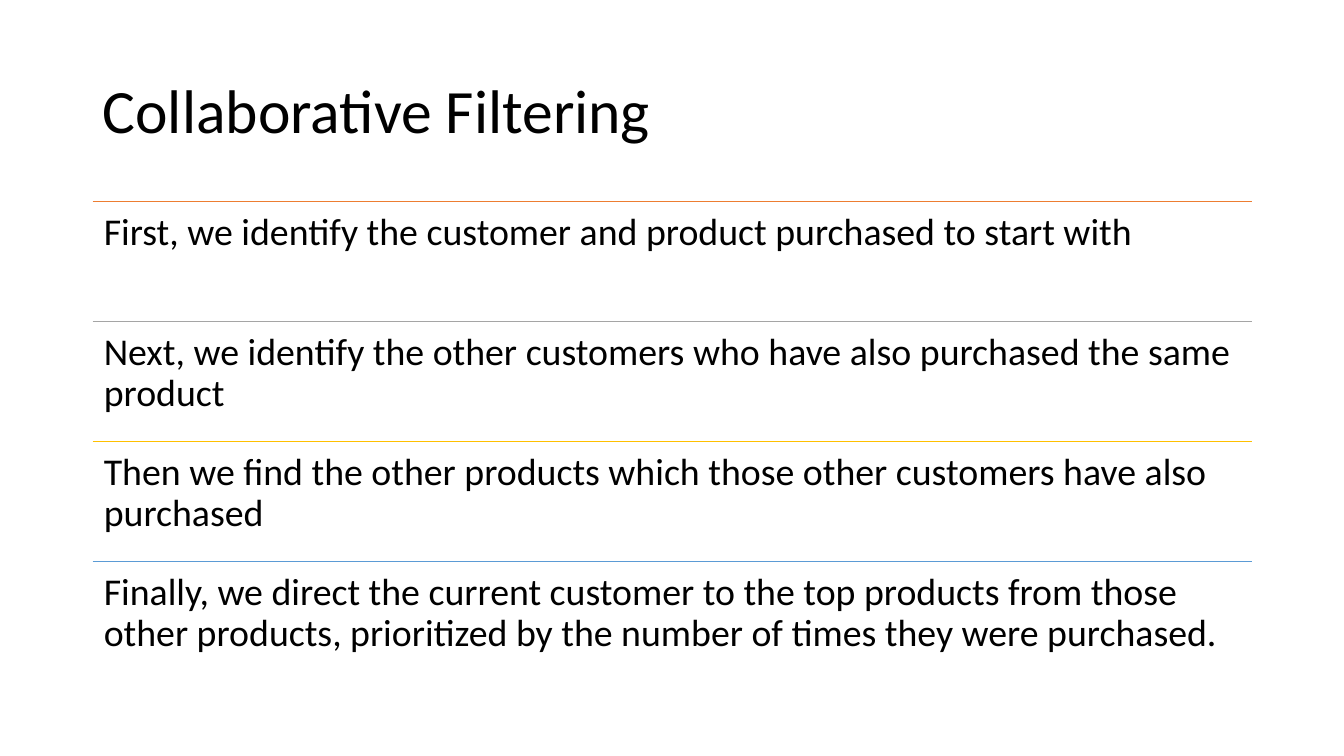
from dataclasses import dataclass

from lxml.etree import SubElement
from pptx import Presentation
from pptx.dml.color import RGBColor
from pptx.enum.shapes import MSO_CONNECTOR
from pptx.enum.text import MSO_ANCHOR
from pptx.oxml.ns import qn
from pptx.util import Inches, Pt


@dataclass(frozen=True)
class Theme:
    font: str = "Calibri"
    ink: str = "000000"
    title_size: int = 44
    step_size: int = 27
    rule_width: int = 1
    rule_colors: tuple = ("ED7D31", "A5A5A5", "FFC000", "5B9BD5")


class SlideBuilder:
    def __init__(self, slide, theme):
        self.slide = slide
        self.theme = theme

    def text(self, wording, left, top, width, height, size, **frame_format):
        box = self.slide.shapes.add_textbox(
            Inches(left), Inches(top), Inches(width), Inches(height))
        frame = box.text_frame
        frame.word_wrap = True
        for name, value in frame_format.items():
            setattr(frame, name, value)
        paragraph = frame.paragraphs[0]
        paragraph.text = wording
        paragraph.line_spacing = 0.9
        font = paragraph.runs[0].font
        font.name = self.theme.font
        font.size = Pt(size)
        font.color.rgb = RGBColor.from_string(self.theme.ink)

    def rule(self, left, top, width, color):
        rule = self.slide.shapes.add_connector(
            MSO_CONNECTOR.STRAIGHT, Inches(left), Inches(top),
            Inches(left + width), Inches(top))
        rule.line.color.rgb = RGBColor.from_string(color)
        rule.line.width = Pt(self.theme.rule_width)
        SubElement(rule._element.spPr, qn("a:effectLst"))


LEFT, WIDTH = 0.92, 11.5
STEPS_TOP, STEP_HEIGHT = 2, 1.19
STEP_MARGINS = {f"margin_{side}": Inches(0.11)
                for side in ("left", "top", "right", "bottom")}
STEPS = (
    "First, we identify the customer and product purchased to start with",
    "Next, we identify the other customers who have also purchased the same product",
    "Then we find the other products which those other customers have also purchased",
    "Finally, we direct the current customer to the top products from those other "
    "products, prioritized by the number of times they were purchased.",
)


def main():
    presentation = Presentation()
    presentation.slide_width = Inches(13.33)
    presentation.slide_height = Inches(7.5)
    theme = Theme()
    builder = SlideBuilder(
        presentation.slides.add_slide(presentation.slide_layouts[6]), theme)

    builder.text("Collaborative Filtering", LEFT, 0.4, WIDTH, 1.45,
                 theme.title_size, vertical_anchor=MSO_ANCHOR.MIDDLE)
    for index, (step, color) in enumerate(zip(STEPS, theme.rule_colors)):
        top = STEPS_TOP + index * STEP_HEIGHT
        builder.rule(LEFT, top, WIDTH, color)
        builder.text(step, LEFT, top, WIDTH, STEP_HEIGHT, theme.step_size,
                     vertical_anchor=MSO_ANCHOR.TOP, **STEP_MARGINS)

    presentation.save("out.pptx")


if __name__ == "__main__":
    main()
